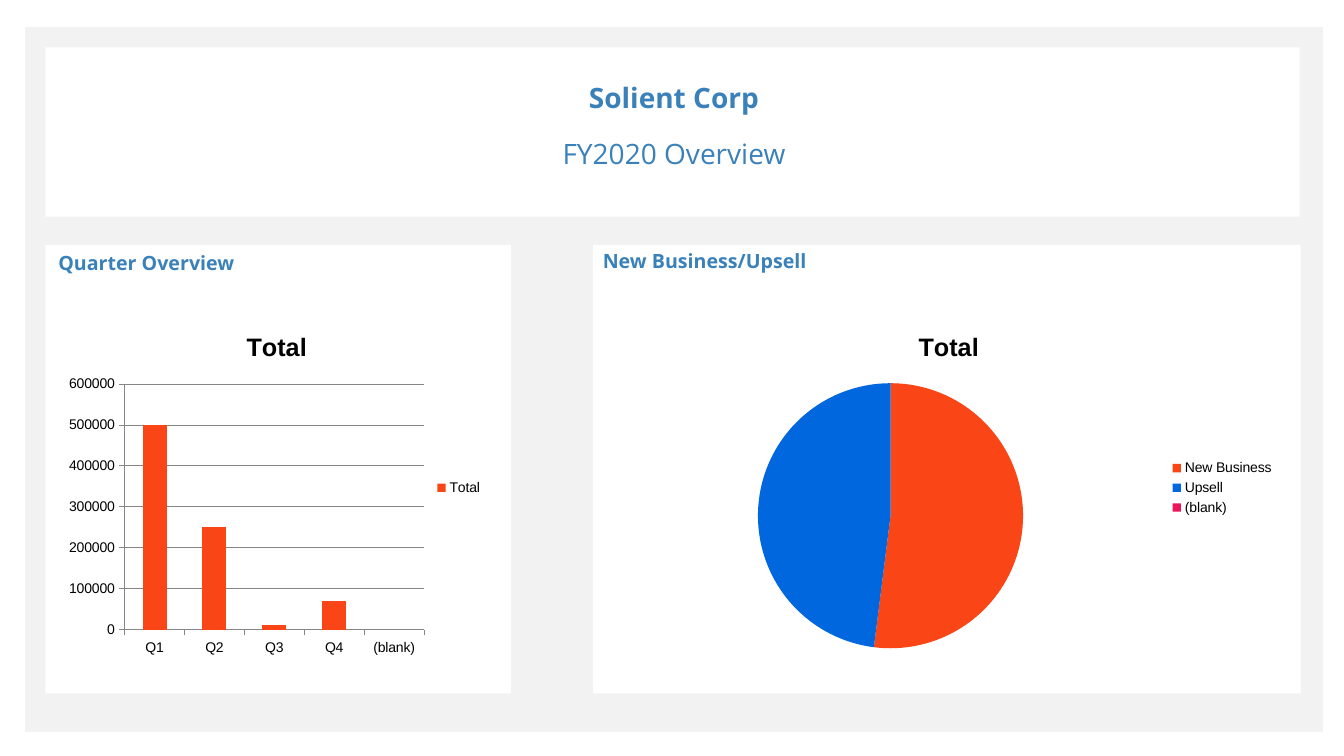
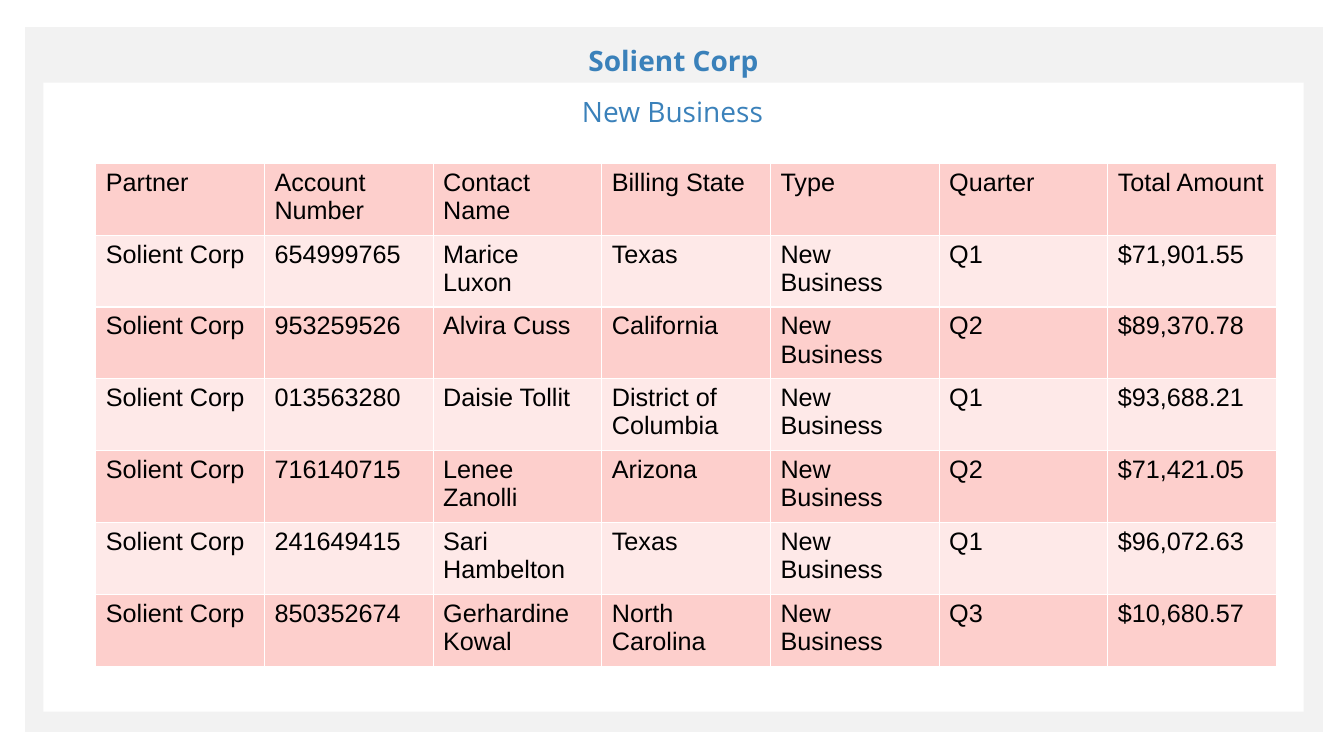
from dataclasses import dataclass
from typing import NamedTuple

from pptx import Presentation
from pptx.chart.chart import Chart
from pptx.chart.data import CategoryChartData as ChartData
from pptx.dml.color import RGBColor as Color
from pptx.enum.chart import XL_CHART_TYPE as ChartType
from pptx.enum.chart import XL_LEGEND_POSITION as LegendPosition
from pptx.enum.chart import XL_TICK_MARK as TickMark
from pptx.enum.shapes import MSO_SHAPE as ShapeKind
from pptx.enum.text import MSO_ANCHOR as Anchor
from pptx.enum.text import MSO_AUTO_SIZE as AutoSize
from pptx.enum.text import PP_ALIGN as Align
from pptx.shapes.autoshape import Shape
from pptx.slide import Slide
from pptx.text.text import Font
from pptx.util import Inches, Pt


@dataclass(frozen=True)
class Theme:
    white: Color = Color.from_string("FFFFFF")
    black: Color = Color.from_string("000000")
    frame: Color = Color.from_string("F2F2F2")
    heading: Color = Color.from_string("3A81BA")
    axis: Color = Color.from_string("868686")
    series: tuple[Color, ...] = (
        Color.from_string("FA4616"),
        Color.from_string("0067DF"),
        Color.from_string("ED145B"),
    )
    rows: tuple[Color, ...] = (
        Color.from_string("FDCFCC"),
        Color.from_string("FEE9E8"),
    )
    heading_font: str = "Open Sans"
    body_font: str = "Arial"
    title_size: int = 20
    section_size: int = 14
    table_size: int = 18
    chart_title_size: int = 18
    chart_size: int = 10


class Area(NamedTuple):
    left: float
    top: float
    width: float
    height: float

    def lengths(self) -> tuple[Inches, ...]:
        return tuple(Inches(value) for value in self)


class Heading(NamedTuple):
    text: str
    area: Area
    size: int
    bold: bool = False
    align: Align = Align.LEFT


class ChartSpec(NamedTuple):
    kind: ChartType
    area: Area
    categories: tuple[str, ...]
    values: tuple[int | None, ...]


THEME = Theme()
COMPANY = "Solient Corp"
FRAME = Area(0.25, 0.27, 12.87, 6.99)
TABLE = Area(0.95, 1.62, 11.71, 4.99)

OVERVIEW_PANELS = (
    Area(0.45, 0.47, 12.44, 1.68),
    Area(0.45, 2.43, 4.62, 4.45),
    Area(5.88, 2.43, 7.02, 4.45),
)
OVERVIEW_TITLE = Area(2.68, 0.75, 8.01, 0.44)
OVERVIEW_HEADINGS = (
    Heading("FY2020 Overview", Area(4.78, 1.31, 3.81, 0.44),
            THEME.title_size, align=Align.CENTER),
    Heading("Quarter Overview", Area(0.48, 2.44, 3.25, 0.34),
            THEME.section_size, bold=True),
    Heading("New Business/Upsell", Area(5.88, 2.42, 7.02, 0.34),
            THEME.section_size, bold=True),
)
QUARTER_CHART = ChartSpec(
    ChartType.COLUMN_CLUSTERED, Area(0.6, 3.11, 4.29, 3.46),
    ("Q1", "Q2", "Q3", "Q4", "(blank)"),
    (500000, 250000, 10000, 70000, None),
)
TYPE_CHART = ChartSpec(
    ChartType.PIE, Area(6.08, 3.11, 6.66, 3.46),
    ("New Business", "Upsell", "(blank)"),
    (52, 48, None),
)

BUSINESS_PANELS = (Area(0.43, 0.82, 12.5, 6.24),)
BUSINESS_TITLE = Area(0.87, 0.38, 11.62, 0.44)
BUSINESS_HEADINGS = (
    Heading("New Business", Area(1.03, 0.89, 11.28, 0.44),
            THEME.title_size, align=Align.CENTER),
)
COLUMNS = ("Partner", "Account Number", "Contact Name", "Billing State",
           "Type", "Quarter", "Total Amount")
DEALS = (
    ("654999765", "Marice Luxon", "Texas", "Q1", "$71,901.55"),
    ("953259526", "Alvira Cuss", "California", "Q2", "$89,370.78"),
    ("013563280", "Daisie Tollit", "District of Columbia", "Q1", "$93,688.21"),
    ("716140715", "Lenee Zanolli", "Arizona", "Q2", "$71,421.05"),
    ("241649415", "Sari Hambelton", "Texas", "Q1", "$96,072.63"),
    ("850352674", "Gerhardine Kowal", "North Carolina", "Q3", "$10,680.57"),
)


def style_font(font: Font, name: str, size: int, color: Color,
               bold: bool = False) -> None:
    font.name = name
    font.size = Pt(size)
    font.bold = bold
    font.color.rgb = color


def add_panel(page: Slide, area: Area, color: Color) -> Shape:
    panel = page.shapes.add_shape(ShapeKind.RECTANGLE, *area.lengths())
    panel.shadow.inherit = False
    panel.fill.solid()
    panel.fill.fore_color.rgb = color
    panel.line.fill.background()
    return panel


def write_heading(box: Shape, heading: Heading) -> None:
    box.left, box.top, box.width, box.height = heading.area.lengths()
    frame = box.text_frame
    frame.text = heading.text
    frame.word_wrap = True
    frame.auto_size = AutoSize.SHAPE_TO_FIT_TEXT
    frame.vertical_anchor = Anchor.TOP
    para = frame.paragraphs[0]
    para.alignment = heading.align
    for span in para.runs:
        style_font(span.font, THEME.heading_font, heading.size,
                   THEME.heading, heading.bold)


def fill_page(page: Slide, panels: tuple[Area, ...], title_area: Area,
              headings: tuple[Heading, ...]) -> None:
    for area in panels:
        add_panel(page, area, THEME.white)
    title = page.shapes.title
    page.shapes.element.append(title.element)
    write_heading(title, Heading(COMPANY, title_area, THEME.title_size,
                                 bold=True, align=Align.CENTER))
    for heading in headings:
        box = page.shapes.add_textbox(*heading.area.lengths())
        write_heading(box, heading)


def add_total_chart(page: Slide, spec: ChartSpec) -> Chart:
    data = ChartData()
    data.categories = spec.categories
    data.add_series("Total", spec.values)
    chart = page.shapes.add_chart(spec.kind, *spec.area.lengths(), data).chart
    style_font(chart.font, THEME.body_font, THEME.chart_size, THEME.black)
    chart.has_title = True
    title = chart.chart_title.text_frame
    title.text = "Total"
    style_font(title.paragraphs[0].runs[0].font, THEME.body_font,
               THEME.chart_title_size, THEME.black, bold=True)
    chart.has_legend = True
    chart.legend.position = LegendPosition.RIGHT
    chart.legend.include_in_layout = False
    return chart


def add_quarter_chart(page: Slide) -> None:
    chart = add_total_chart(page, QUARTER_CHART)
    plot = chart.plots[0]
    plot.gap_width = 150
    plot.vary_by_categories = False
    series = plot.series[0]
    series.format.fill.solid()
    series.format.fill.fore_color.rgb = THEME.series[0]
    for axis in (chart.category_axis, chart.value_axis):
        axis.major_tick_mark = TickMark.OUTSIDE
        axis.format.line.color.rgb = THEME.axis
    chart.value_axis.has_major_gridlines = True
    chart.value_axis.major_gridlines.format.line.color.rgb = THEME.axis


def add_type_chart(page: Slide) -> None:
    plot = add_total_chart(page, TYPE_CHART).plots[0]
    plot.vary_by_categories = True
    for index, color in enumerate(THEME.series):
        fill = plot.series[0].points[index].format.fill
        fill.solid()
        fill.fore_color.rgb = color


def add_deal_table(page: Slide) -> None:
    rows = [COLUMNS] + [
        (COMPANY, account, contact, state, "New Business", quarter, amount)
        for account, contact, state, quarter, amount in DEALS
    ]
    table = page.shapes.add_table(
        len(rows), len(COLUMNS), *TABLE.lengths()).table
    table.first_row = False
    table.horz_banding = False
    for row_index, values in enumerate(rows):
        for column_index, text in enumerate(values):
            cell = table.cell(row_index, column_index)
            cell.text = text
            cell.fill.solid()
            cell.fill.fore_color.rgb = THEME.rows[row_index % len(THEME.rows)]
            style_font(cell.text_frame.paragraphs[0].runs[0].font,
                       THEME.body_font, THEME.table_size, THEME.black)


def main() -> None:
    deck = Presentation()
    deck.slide_width = Inches(13.33)
    deck.slide_height = Inches(7.5)
    layout = deck.slide_layouts.get_by_name("Title Only")

    overview = deck.slides.add_slide(layout)
    frame = add_panel(overview, FRAME, THEME.frame)
    layout.shapes.element.insert(2, frame.element)
    fill_page(overview, OVERVIEW_PANELS, OVERVIEW_TITLE, OVERVIEW_HEADINGS)
    add_quarter_chart(overview)
    add_type_chart(overview)

    business = deck.slides.add_slide(layout)
    fill_page(business, BUSINESS_PANELS, BUSINESS_TITLE, BUSINESS_HEADINGS)
    add_deal_table(business)

    deck.save("out.pptx")


if __name__ == "__main__":
    main()
